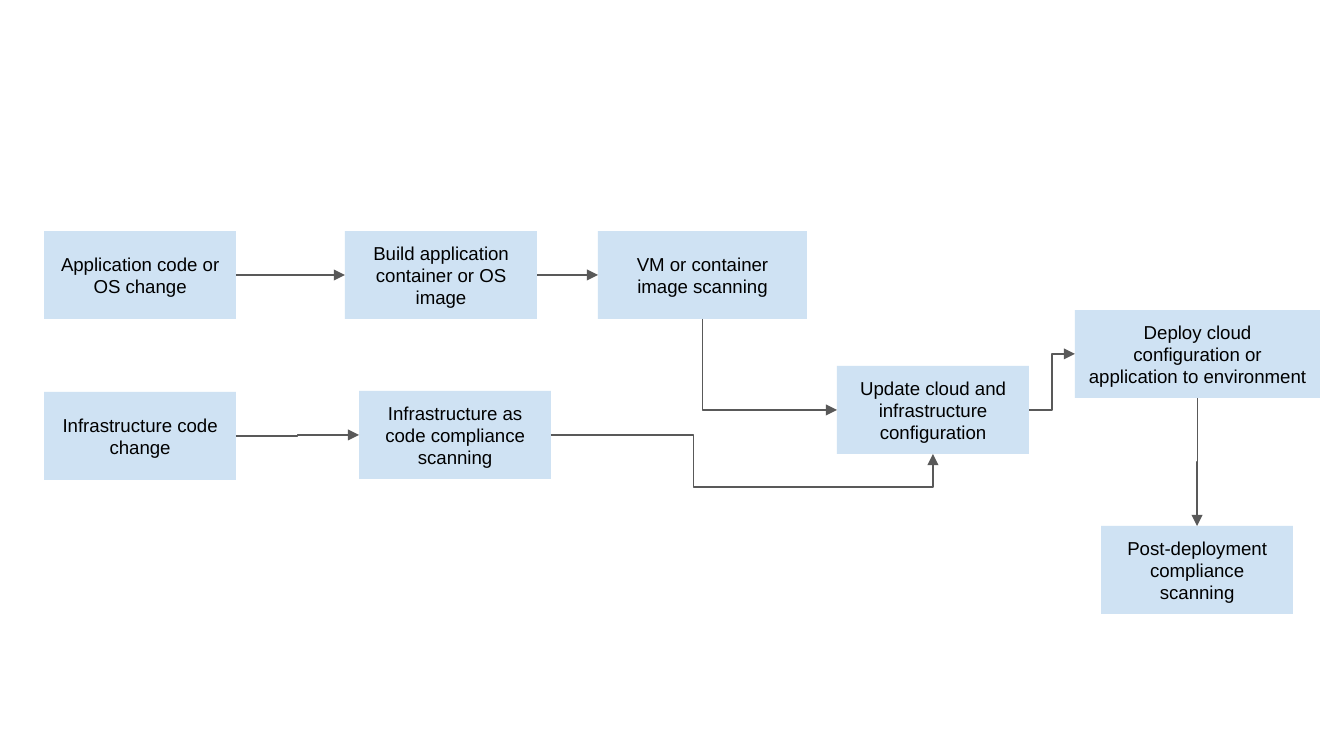
from lxml import etree
from pptx import Presentation
from pptx import util as u
from pptx.dml.color import RGBColor
from pptx.enum import shapes, text
from pptx.oxml import ns

SCALE = 914400 / 134.4  # EMU in one px
BLUE = RGBColor(0xCF, 0xE2, 0xF3)
GREY = RGBColor(0x59, 0x59, 0x59)
BLACK = RGBColor(0, 0, 0)
HIGH = 88
TOP, LEFT, BOTTOM, RIGHT = range(4)  # connection sites of a rectangle


def px(n):
    return u.Emu(round(n * SCALE))


def write(frame, words, size=10, font="Arial", color=BLACK, inset=13):
    frame.word_wrap = True
    frame.vertical_anchor = text.MSO_ANCHOR.MIDDLE
    frame.margin_left = frame.margin_right = px(inset)
    frame.margin_top = frame.margin_bottom = px(inset)
    para = frame.paragraphs[0]
    para.alignment = text.PP_ALIGN.CENTER
    run = para.add_run()
    run.text = words
    run.font.size = u.Pt(size)
    run.font.name = font
    run.font.color.rgb = color


class Flow:
    def __init__(self, slide, fill=BLUE, line=GREY, width=0.75):
        self.slide = slide
        self.fill = fill
        self.line = line
        self.width = width

    def box(self, words, x, y, w=192):
        shape = self.slide.shapes.add_shape(
            shapes.MSO_SHAPE.RECTANGLE, px(x), px(y), px(w), px(HIGH))
        shape.shadow.inherit = False
        shape.fill.solid()
        shape.fill.fore_color.rgb = self.fill
        shape.line.fill.background()
        write(shape.text_frame, words)
        return shape

    def link(self, start, end, out=RIGHT, into=LEFT, via=None):
        link = self.slide.shapes.add_connector(
            shapes.MSO_CONNECTOR.ELBOW, 0, 0, 0, 0)
        link.begin_connect(start, out)
        link.end_connect(end, into)
        link.line.color.rgb = self.line
        link.line.width = u.Pt(self.width)
        props = link._element.spPr
        etree.SubElement(props.find(ns.qn("a:ln")), ns.qn("a:tailEnd"),
                         type="triangle")
        etree.SubElement(props, ns.qn("a:effectLst"))
        if out == BOTTOM:
            self.turn(link)
        geom = props.find(ns.qn("a:prstGeom"))
        if out == BOTTOM and into == LEFT:
            geom.set("prst", "bentConnector2")
        if via:
            geom.set("prst", "bentConnector4")
            self.bend(link, geom, *via)

    def turn(self, link):
        """Make a connector leave downwards: swap its sides about its centre."""
        right = link.end_x >= link.begin_x
        x, y, w, h = link.left, link.top, link.width, link.height
        link.left, link.top = x + (w - h) // 2, y + (h - w) // 2
        link.width, link.height = h, w
        frame = link._element.spPr.find(ns.qn("a:xfrm"))
        for key in ("flipH", "flipV"):
            frame.attrib.pop(key, None)
        frame.set("rot", str((270 if right else 90) * 60000))
        if right:
            frame.set("flipH", "1")

    def bend(self, link, geom, x, y):
        """Place the two middle legs at x and y."""
        guides = geom.find(ns.qn("a:avLst"))
        if guides is None:
            guides = etree.SubElement(geom, ns.qn("a:avLst"))
        parts = ((px(x) - link.left) / link.width,
                 (px(y) - link.top) / link.height)
        for i, part in enumerate(parts, 1):
            etree.SubElement(guides, ns.qn("a:gd"), name=f"adj{i}",
                             fmla=f"val {round(part * 100000)}")


def main():
    deck = Presentation()
    deck.slide_width, deck.slide_height = px(1344), px(756)
    flow = Flow(deck.slides.add_slide(deck.slide_layouts[6]))

    # Application row
    app = flow.box("Application code or OS change", 44, 231)
    build = flow.box("Build application container or OS image", 345, 231)
    scan = flow.box("VM or container image scanning", 598, 231, w=209)

    # Infrastructure row
    infra = flow.box("Infrastructure code change", 44, 392)
    check = flow.box("Infrastructure as code compliance scanning", 359, 391)

    # Shared steps
    update = flow.box("Update cloud and infrastructure configuration", 837, 366)
    deploy = flow.box("Deploy cloud configuration or application to environment",
                      1075, 310, w=245)
    post = flow.box("Post-deployment compliance scanning", 1101, 526)

    # Arrows
    for start, end in ((app, build), (build, scan), (infra, check),
                       (update, deploy)):
        flow.link(start, end)
    flow.link(scan, update, out=BOTTOM)
    flow.link(check, update, into=BOTTOM, via=(694, 487))
    flow.link(deploy, post, out=BOTTOM, into=TOP)

    deck.save("out.pptx")


if __name__ == "__main__":
    main()
